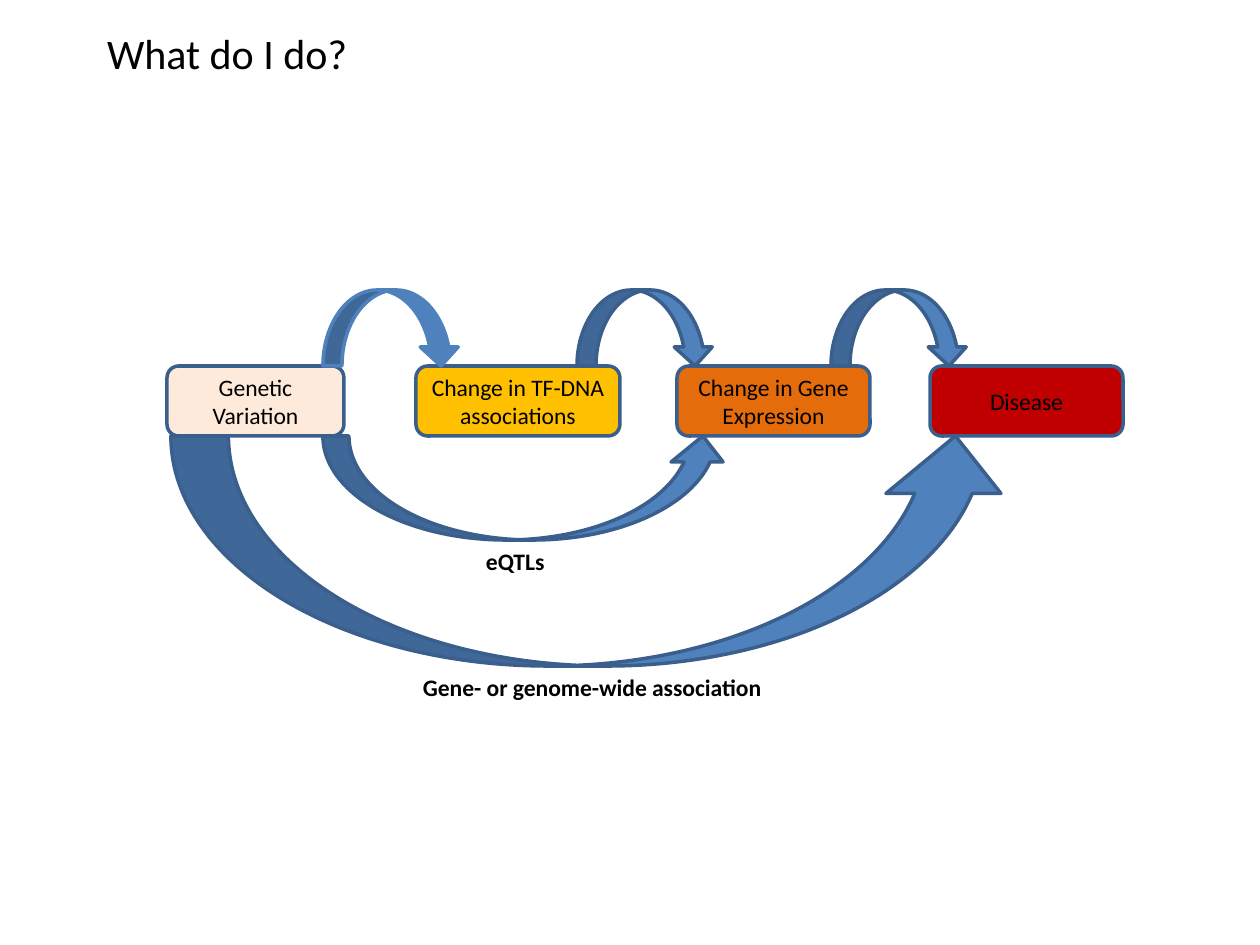
from dataclasses import dataclass

from pptx import Presentation, util as u
from pptx.dml.color import RGBColor
from pptx.enum import shapes, text

PX = u.Inches(1) / 126


@dataclass(frozen=True)
class Theme:
    """Hold the colours and type sizes."""
    font: str = "Calibri"
    ink: str = "000000"
    blue: str = "4F81BD"
    edge: str = "3A5F8C"
    stages: tuple = ("FDEADA", "FFC000", "E46C0A", "C00000")
    title: float = 24
    label: float = 13.5
    line: float = 2


T = Theme()
KIND = shapes.MSO_SHAPE


def emu(*lengths):
    """Turn pixel lengths into EMU."""
    return [u.Emu(round(n * PX)) for n in lengths]


def write(tf, words, size=T.label, bold=False, align=text.PP_ALIGN.LEFT,
          anchor=text.MSO_ANCHOR.MIDDLE, wrap=True, inset=12):
    """Fill a text frame with one formatted paragraph."""
    tf.word_wrap = wrap
    tf.vertical_anchor = anchor
    tf.margin_left, tf.margin_right = emu(inset, inset)
    p = tf.paragraphs[0]
    p.alignment = align
    r = p.add_run()
    r.text = words
    r.font.name, r.font.size, r.font.bold = T.font, u.Pt(size), bold
    r.font.color.rgb = RGBColor.from_string(T.ink)


def draw(s, kind, box, fill=T.blue, line=T.edge):
    """Add a filled and outlined preset shape."""
    sp = s.shapes.add_shape(kind, *emu(*box))
    sp.shadow.inherit = False
    sp.fill.solid()
    sp.fill.fore_color.rgb = RGBColor.from_string(fill)
    sp.line.color.rgb = RGBColor.from_string(line)
    sp.line.width = u.Pt(T.line)
    return sp


def add_title(s, box, words):
    """Move and fill the title placeholder."""
    sp = s.shapes.title
    sp.left, sp.top, sp.width, sp.height = emu(*box)
    write(sp.text_frame, words, T.title)


def add_stages(s, box, stages):
    """Place the row of stage boxes."""
    x, y, _, h = box
    for (dx, w, words), fill in zip(stages, T.stages):
        sp = draw(s, KIND.ROUNDED_RECTANGLE, (x + dx, y, w, h), fill)
        write(sp.text_frame, words, align=text.PP_ALIGN.CENTER, inset=9)


def add_steps(s, box, count, pitch):
    """Place equally spaced arrows over the stages."""
    x, y, w, h = box
    for i in range(count):
        draw(s, KIND.CURVED_DOWN_ARROW, (x + i * pitch, y, w, h),
             line=T.edge if i else T.blue)


def add_study(s, box, words, label_dx, label_w):
    """Place an arrow under the stages with its caption."""
    x, y, w, h = box
    draw(s, KIND.CURVED_UP_ARROW, box)
    sp = s.shapes.add_textbox(*emu(x + label_dx, y + h + 1, label_w, 42))
    write(sp.text_frame, words, bold=True, wrap=False,
          anchor=text.MSO_ANCHOR.TOP)
    sp.text_frame.auto_size = text.MSO_AUTO_SIZE.SHAPE_TO_FIT_TEXT


def build():
    """Build and save the slide."""
    prs = Presentation()
    prs.slide_width, prs.slide_height = emu(1260, 945)
    s = prs.slides.add_slide(prs.slide_layouts[5])
    add_title(s, (95, 23, 951, 59), "What do I do?")
    add_stages(s, (167, 366, 956, 70), [
        (0, 177, "Genetic Variation"),
        (249, 204, "Change in TF-DNA associations"),
        (510, 193, "Change in Gene Expression"),
        (763, 193, "Disease"),
    ])
    add_steps(s, (323, 290, 137, 76), 3, 254)
    add_study(s, (323, 436, 406, 104), "eQTLs", 151, 84)
    add_study(s, (171, 436, 842, 230), "Gene- or genome-wide association",
              240, 368)
    prs.save("out.pptx")


build()
